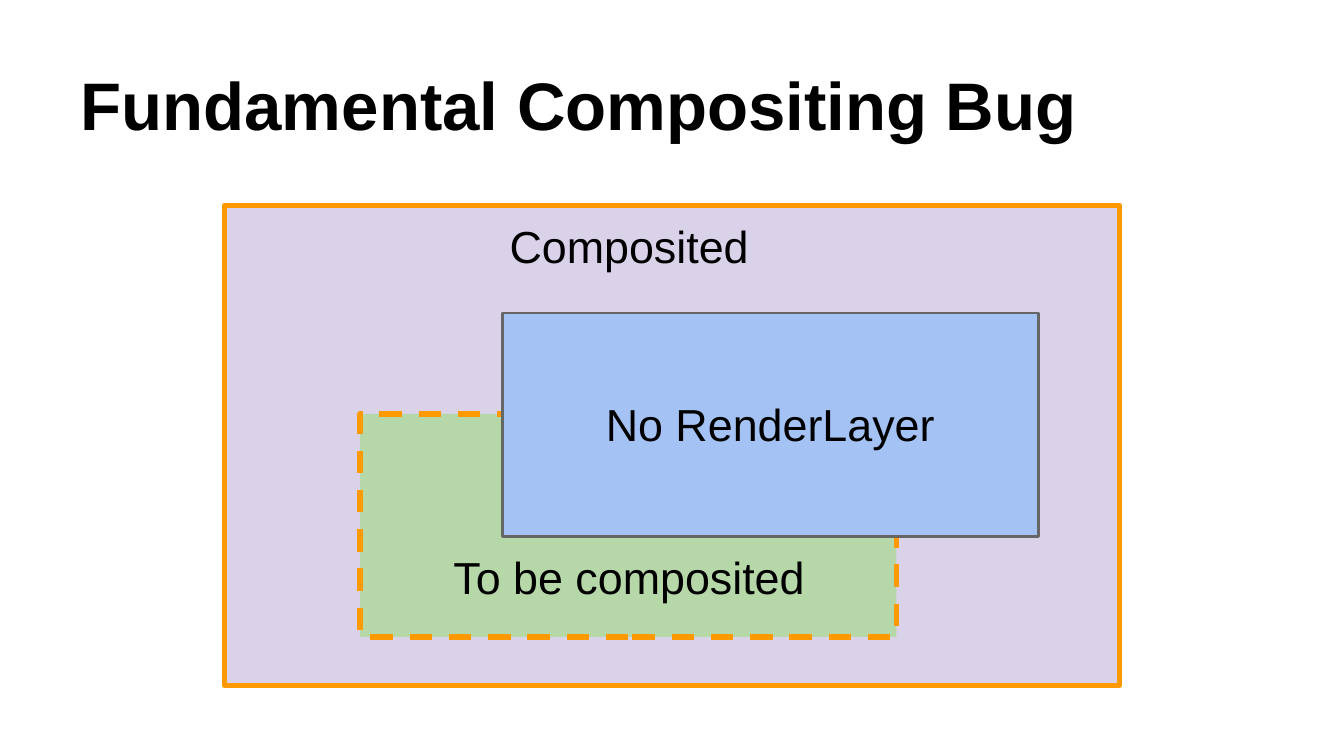
from pptx import Presentation
from pptx.dml.color import RGBColor
from pptx.enum.dml import MSO_LINE
from pptx.enum.shapes import MSO_SHAPE
from pptx.enum.text import MSO_ANCHOR, PP_ALIGN
from pptx.util import Inches, Pt

COLORS = {
    "text": "000000", "purple": "D9D2E9", "green": "B6D7A8",
    "blue": "A4C2F4", "orange": "FF9900", "gray": "666666",
}
TITLE = "Fundamental Compositing Bug"
# left, top, width, height, fill, line, line width, dash
LAYERS = [
    (1.67, 1.53, 6.66, 3.57, "purple", "orange", 3, None),
    (2.68, 3.08, 3.99, 1.66, "green", "orange", 3, MSO_LINE.DASH),
    (3.74, 2.33, 3.99, 1.66, "blue", "gray", 1.5, None),
]
LABEL_SIZE = (3.52, 0.63)
LABELS = [
    ("No RenderLayer", 3.97, 2.85),
    ("To be composited", 2.92, 3.99),
    ("Composited", 2.92, 1.53),
]


def color(name):
    """Return the named colour."""
    return RGBColor.from_string(COLORS[name])


def write(shape, text, size, bold, align, anchor):
    """Put one formatted paragraph into a shape."""
    frame = shape.text_frame
    frame.word_wrap = True
    frame.vertical_anchor = anchor
    frame.margin_left = frame.margin_right = Inches(0.1)
    frame.margin_top = frame.margin_bottom = Inches(0.1)
    paragraph = frame.paragraphs[0]
    paragraph.text = text
    paragraph.alignment = align
    font = paragraph.font
    font.name, font.size, font.bold = "Arial", Pt(size), bold
    font.color.rgb = color("text")


def add_layer(slide, left, top, width, height, fill, line, line_width, dash):
    """Draw one layer rectangle."""
    shape = slide.shapes.add_shape(
        MSO_SHAPE.RECTANGLE, *map(Inches, (left, top, width, height)))
    shape.shadow.inherit = False
    shape.fill.solid()
    shape.fill.fore_color.rgb = color(fill)
    shape.line.color.rgb = color(line)
    shape.line.width = Pt(line_width)
    if dash:
        shape.line.dash_style = dash


presentation = Presentation()
presentation.slide_width = Inches(10)
presentation.slide_height = Inches(10 * 9 / 16)
slide = presentation.slides.add_slide(presentation.slide_layouts[5])

title = slide.shapes.title
title.left, title.top, title.width, title.height = map(Inches, (0.5, 0.23, 9, 0.94))
write(title, TITLE, 36, True, PP_ALIGN.LEFT, MSO_ANCHOR.BOTTOM)

for layer in LAYERS:
    add_layer(slide, *layer)
for text, left, top in LABELS:
    label = slide.shapes.add_textbox(*map(Inches, (left, top, *LABEL_SIZE)))
    write(label, text, 24, False, PP_ALIGN.CENTER, MSO_ANCHOR.TOP)

presentation.save("out.pptx")
